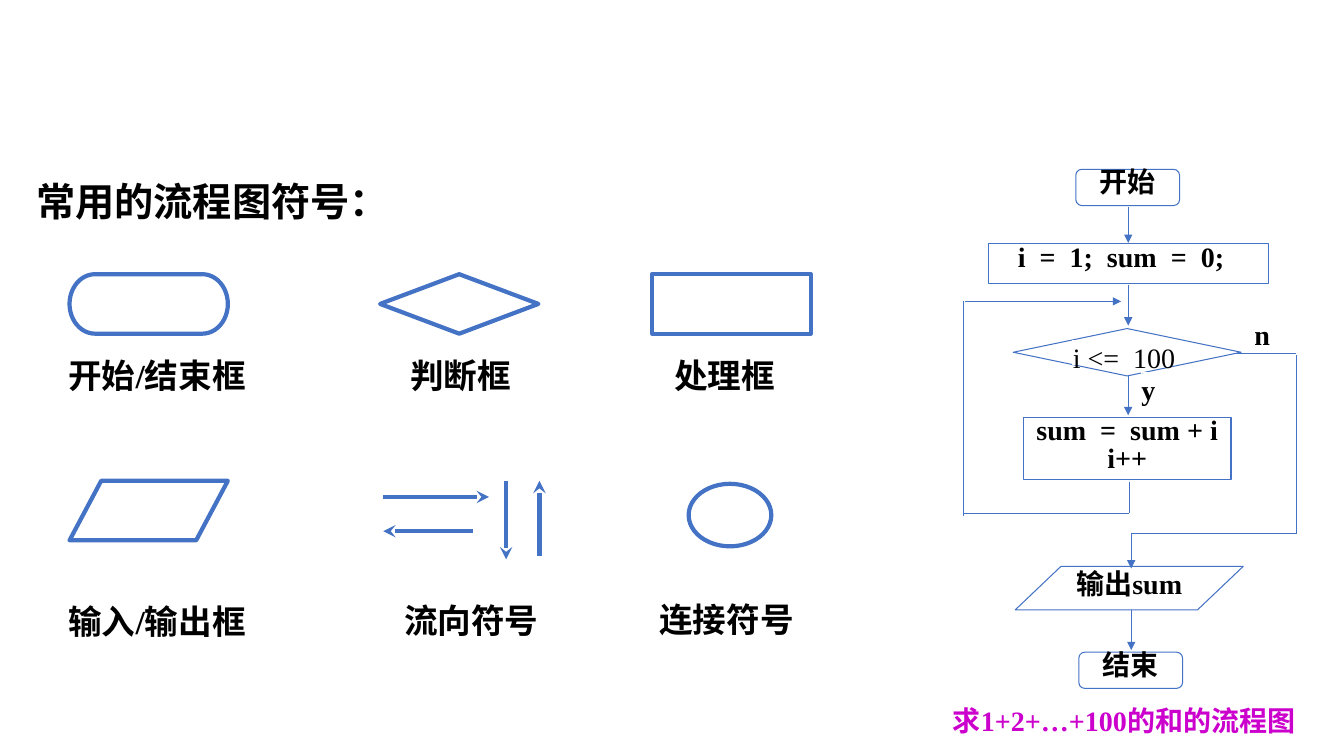
from lxml.etree import SubElement
from pptx import Presentation
from pptx.dml.color import RGBColor
from pptx.enum.shapes import MSO_CONNECTOR, MSO_SHAPE as S
from pptx.enum.text import MSO_ANCHOR, MSO_AUTO_SIZE, PP_ALIGN as A
from pptx.oxml.ns import qn
from pptx.util import Inches, Pt

LATIN, CJK = "Times New Roman", "Noto Sans CJK SC"
BLUE, WHITE, BLACK, MAGENTA = "4472C4", "FFFFFF", "000000", "CC00CC"
color = RGBColor.from_string


def write(shape, text, size=20, bold=True, ink=BLACK, font=LATIN, align=A.LEFT,
          spacing=1.0, insets=(0, 0, 0, 0)):
    frame = shape.text_frame
    frame.text = text
    frame.word_wrap = True
    frame.auto_size = MSO_AUTO_SIZE.NONE
    frame.vertical_anchor = MSO_ANCHOR.TOP
    frame.margin_left, frame.margin_top, frame.margin_right, frame.margin_bottom = map(Inches, insets)
    for paragraph in frame.paragraphs:
        paragraph.alignment = align
        paragraph.line_spacing = spacing
        for run in paragraph.runs:
            run.font.size = Pt(size)
            run.font.bold = bold
            run.font.name = font
            run.font.color.rgb = color(ink)
            SubElement(run.font._element, qn("a:ea"), typeface=CJK)


def connect(x1, y1, x2, y2, width=0.75, head=None):
    line = slide.shapes.add_connector(MSO_CONNECTOR.STRAIGHT, *map(Inches, (x1, y1, x2, y2)))
    line.line.color.rgb = color(BLUE)
    line.line.width = Pt(width)
    if head:
        SubElement(line.line._get_or_add_ln(), qn("a:tailEnd"), type=head)
    SubElement(line._element.spPr, qn("a:effectLst"))


prs = Presentation()
prs.slide_width, prs.slide_height = Inches(13.33), Inches(7.5)
slide = prs.slides.add_slide(prs.slide_layouts[5])

heading = slide.shapes.title
heading.left, heading.top, heading.width, heading.height = map(Inches, (0.26, 1.71, 8, 0.7))
write(heading, "常用的流程图符号：", size=28, font=CJK, insets=(0.1, 0.05, 0.1, 0.05))

captions = [
    ("开始/结束框", 0.58, 3.47), ("判断框", 3.97, 3.47), ("处理框", 6.59, 3.47),
    ("输入/输出框", 0.58, 5.91), ("流向符号", 3.91, 5.9), ("连接符号", 6.44, 5.89),
]
for caption, left, top in captions:
    box = slide.shapes.add_textbox(Inches(left), Inches(top), Inches(2.23), Inches(0.5))
    write(box, caption, size=24, insets=(0.1, 0.05, 0.1, 0.05))

for flow_arrow in [(3.8, 4.93, 4.85, 4.93), (5.02, 4.77, 5.02, 5.55),
                   (4.69, 5.27, 3.8, 5.27), (5.35, 5.52, 5.35, 4.77)]:
    connect(*flow_arrow, width=3, head="stealth")

flow_title = slide.shapes.add_textbox(Inches(9.45), Inches(6.98), Inches(3.7), Inches(0.33))
write(flow_title, "求1+2+…+100的和的流程图", ink=MAGENTA)

center = dict(align=A.CENTER)
terminal = dict(align=A.CENTER, spacing=0.8, insets=(0.04, 0, 0.04, 0))
symbols = [
    (S.FLOWCHART_TERMINATOR, 0.69, 2.72, 1.57, 0.59, BLUE, 3, "", {}),
    (S.FLOWCHART_DECISION, 3.77, 2.72, 1.57, 0.59, BLUE, 3, "", {}),
    (S.FLOWCHART_PROCESS, 6.47, 2.72, 1.57, 0.59, BLUE, 3, "", {}),
    (S.FLOWCHART_DATA, 0.69, 4.77, 1.57, 0.59, BLUE, 3, "", {}),
    (S.FLOWCHART_CONNECTOR, 6.83, 4.8, 0.82, 0.62, BLUE, 3, "", {}),
    (S.FLOWCHART_DECISION, 10.05, 3.26, 2.26, 0.47, BLUE, 0.75, "", {}),
    (S.RECTANGLE, 10.64, 3.38, 1.03, 0.24, WHITE, 0.75, "i <=  100", dict(bold=False)),
    (S.RECTANGLE, 10.15, 4.14, 2.06, 0.62, BLUE, 0.75, "sum  =  sum + i\ni++",
     dict(spacing=0.85, **center)),
    (S.ROUNDED_RECTANGLE, 10.67, 1.68, 1.03, 0.36, BLUE, 0.75, "开始", terminal),
    (S.ROUNDED_RECTANGLE, 10.7, 6.47, 1.03, 0.36, BLUE, 0.75, "结束", terminal),
    (S.RECTANGLE, 9.8, 2.42, 2.78, 0.39, BLUE, 0.75, "i  =  1;  sum  =  0;",
     dict(spacing=0.88, insets=(0, 0, 0.14, 0), **center)),
    (S.FLOWCHART_DATA, 10.07, 5.62, 2.26, 0.43, BLUE, 0.75, "输出sum", center),
    (S.RECTANGLE, 12.44, 3.15, 0.31, 0.31, WHITE, 0.75, "n", {}),
    (S.RECTANGLE, 11.32, 3.7, 0.31, 0.31, WHITE, 0.75, "y", {}),
]
for kind, left, top, width, height, outline, weight, label, style in symbols:
    symbol = slide.shapes.add_shape(kind, *map(Inches, (left, top, width, height)))
    symbol.shadow.inherit = False
    symbol.fill.background()
    symbol.line.color.rgb = color(outline)
    symbol.line.width = Pt(weight)
    if label:
        write(symbol, label, **style)

for step_arrow in [(11.19, 2.05, 11.19, 2.41), (11.19, 2.83, 11.19, 3.23),
                   (11.19, 3.72, 11.19, 4.12), (9.57, 2.99, 11.12, 2.99),
                   (11.22, 5.29, 11.22, 5.64), (11.22, 6.05, 11.22, 6.45)]:
    connect(*step_arrow, head="triangle")

for branch in [(9.56, 2.99, 9.56, 5.12), (9.56, 5.09, 11.2, 5.09), (11.2, 4.78, 11.2, 5.09),
               (12.23, 3.51, 12.85, 3.51), (12.86, 3.52, 12.86, 5.29), (11.22, 5.29, 12.86, 5.29)]:
    connect(*branch)

prs.save("out.pptx")
